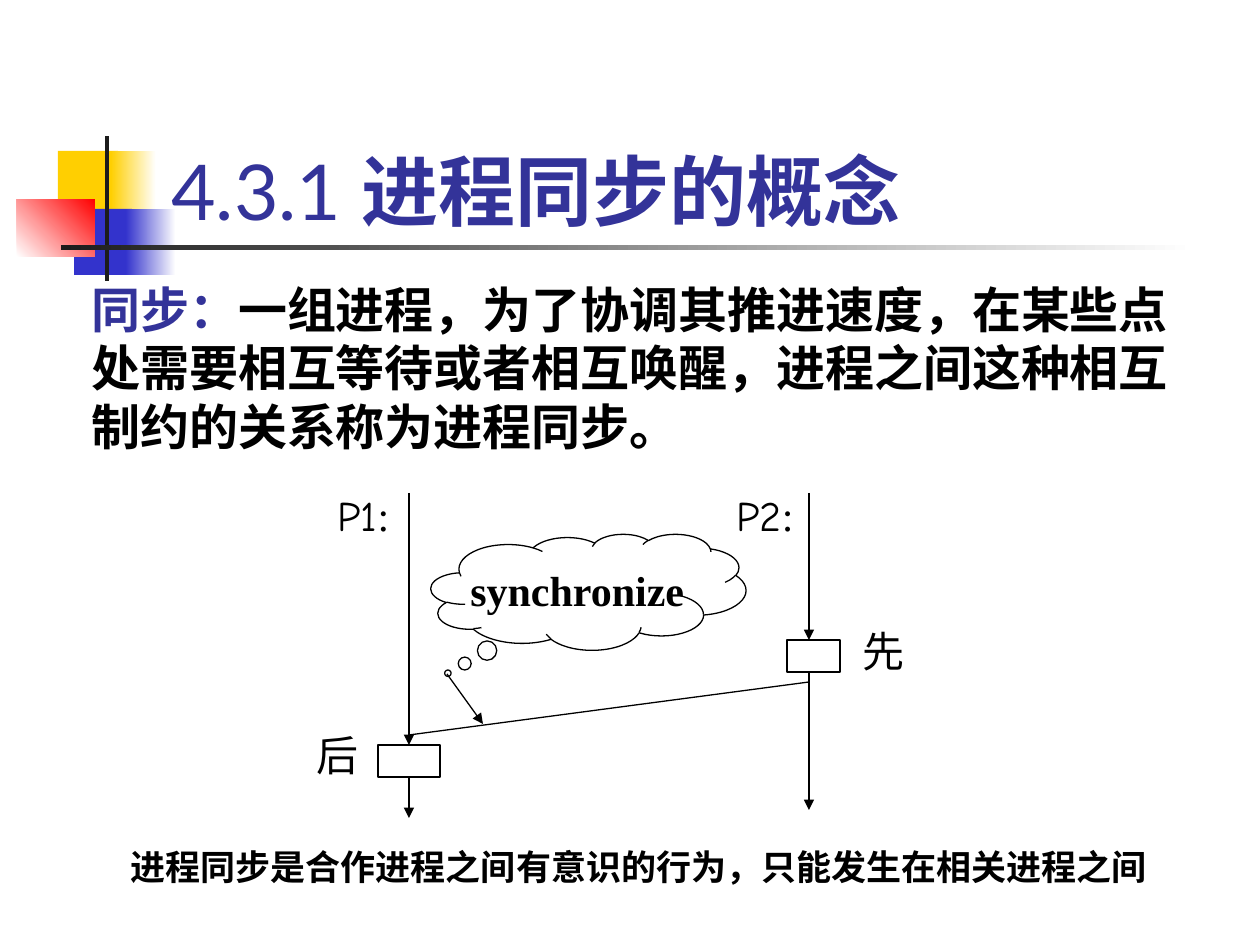
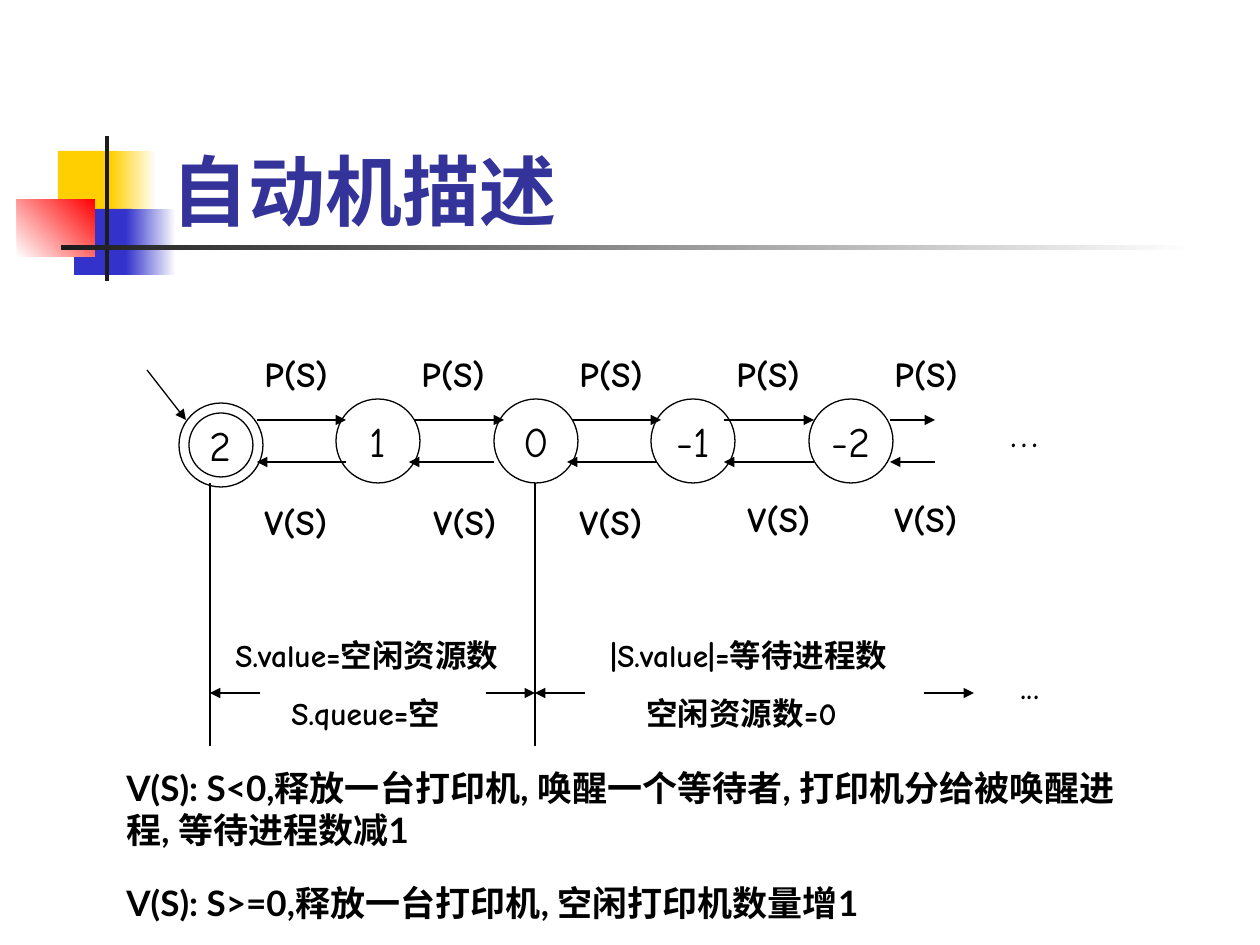
import typing

import lxml.etree
import pptx
import pptx.dml.color
import pptx.enum.shapes
import pptx.enum.text
import pptx.oxml.ns
import pptx.util

EMU_PER_PX = 914400 / 126
SHAPES = pptx.enum.shapes.MSO_SHAPE
ANCHOR = pptx.enum.text.MSO_ANCHOR
ALIGN = pptx.enum.text.PP_ALIGN

WHITE, BLACK, CHARCOAL = "FFFFFF", "000000", "1C1C1C"
YELLOW, BLUE, RED, NAVY = "FFCF01", "3333CC", "FF0000", "333399"
LATO, COMIC, TIMES = "Lato", "Comic Neue", "Times New Roman"


class Box(typing.NamedTuple):
    left: int
    top: int
    width: int
    height: int


class Run(typing.NamedTuple):
    text: str
    size: int
    font: str
    bold: bool = False
    color: str = BLACK


class Paragraph(typing.NamedTuple):
    runs: list[Run]
    space_before: float = 0
    indent: int = 0


class Band(typing.NamedTuple):
    box: Box
    start: str
    end: str | None = None
    angle: int = 0


class Label(typing.NamedTuple):
    box: Box
    paragraphs: list[Paragraph]
    wrap: bool = True


class Arrow(typing.NamedTuple):
    start: tuple[int, int]
    end: tuple[int, int]
    head: bool = True


class Step(typing.NamedTuple):
    """Horizontal extents of the P and V arrows right of a state, and the V label's corner."""
    p_from: int
    p_to: int
    v_from: int
    v_to: int
    v_label: tuple[int, int]


BANDS = [
    Band(Box(58, 151, 60, 66), YELLOW),
    Band(Box(111, 151, 45, 66), YELLOW, WHITE),
    Band(Box(74, 209, 58, 66), BLUE),
    Band(Box(126, 209, 50, 66), BLUE, WHITE),
    Band(Box(17, 199, 78, 58), WHITE, RED, 45),
    Band(Box(105, 136, 4, 145), CHARCOAL),
    Band(Box(61, 245, 1134, 5), CHARCOAL, WHITE),
]
TITLE_BOX = Box(159, 84, 1074, 158)

STATES = ["2", "1", "0", "-1", "-2"]
STEPS = [
    Step(257, 346, 346, 257, (252, 494)),
    Step(414, 504, 494, 409, (421, 494)),
    Step(572, 661, 656, 567, (567, 494)),
    Step(724, 814, 814, 724, (735, 491)),
    Step(890, 935, 935, 890, (882, 491)),
]


def px(length: float) -> int:
    return round(length * EMU_PER_PX)


def rgb(color: str) -> pptx.dml.color.RGBColor:
    return pptx.dml.color.RGBColor.from_string(color)


def write(shape, paragraphs: list[Paragraph], wrap: bool = True,
          anchor=ANCHOR.TOP, align=ALIGN.LEFT) -> None:
    frame = shape.text_frame
    frame.word_wrap = wrap
    frame.vertical_anchor = anchor
    for index, content in enumerate(paragraphs):
        paragraph = frame.add_paragraph() if index else frame.paragraphs[0]
        paragraph.text = content.runs[0].text
        for extra in content.runs[1:]:
            paragraph.add_run().text = extra.text
        paragraph.alignment = align
        if content.space_before:
            paragraph.space_before = pptx.util.Pt(content.space_before)
        if content.indent:
            paragraph._p.get_or_add_pPr().set("marL", str(px(content.indent)))
        for run, style in zip(paragraph.runs, content.runs):
            run.font.size = pptx.util.Pt(style.size)
            run.font.name = style.font
            run.font.bold = style.bold
            run.font.color.rgb = rgb(style.color)


def add_label(slide, label: Label, anchor=ANCHOR.TOP) -> None:
    shape = slide.shapes.add_textbox(*map(px, label.box))
    write(shape, label.paragraphs, label.wrap, anchor)


def add_outlined(slide, kind, box: Box, fill: str | None = None):
    shape = slide.shapes.add_shape(kind, *map(px, box))
    shape.shadow.inherit = False
    if fill:
        shape.fill.solid()
        shape.fill.fore_color.rgb = rgb(fill)
    else:
        shape.fill.background()
    shape.line.color.rgb = rgb(BLACK)
    shape.line.width = pptx.util.Pt(0.75)
    return shape


def add_band(slide, band: Band) -> None:
    shape = add_outlined(slide, SHAPES.RECTANGLE, band.box, band.start)
    shape.line.fill.background()
    if band.end:
        shape.fill.gradient()
        shape.fill.gradient_angle = band.angle
        for stop, color in zip(shape.fill.gradient_stops, (band.start, band.end)):
            stop.color.rgb = rgb(color)


def add_arrow(slide, arrow: Arrow):
    connector = slide.shapes.add_connector(
        pptx.enum.shapes.MSO_CONNECTOR.STRAIGHT,
        *map(px, (*arrow.start, *arrow.end)))
    connector.line.color.rgb = rgb(BLACK)
    connector.line.width = pptx.util.Pt(0.75)
    qn = pptx.oxml.ns.qn
    if arrow.head:
        line = connector.line._get_or_add_ln()
        lxml.etree.SubElement(line, qn("a:tailEnd"), type="triangle")
    lxml.etree.SubElement(connector._element.spPr, qn("a:effectLst"))
    return connector


def add_titled_slide(presentation, title: list[Run]):
    slide = presentation.slides.add_slide(presentation.slide_layouts[6])
    for band in BANDS:
        add_band(slide, band)
    add_label(slide, Label(TITLE_BOX, [Paragraph(title)]), ANCHOR.BOTTOM)
    return slide


def build_synchronization(presentation) -> None:
    slide = add_titled_slide(presentation, [
        Run("4.3.1 ", 44, LATO, color=NAVY),
        Run("进程同步的概念", 44, LATO, True, NAVY),
    ])
    definition = [
        Run("同步：", 28, TIMES, True, NAVY),
        Run("一组进程，为了协调其推进速度，在某些点处需要相互等待或者相互唤醒，"
            "进程之间这种相互制约的关系称为进程同步。", 28, TIMES, True),
    ]
    conclusion = Run("进程同步是合作进程之间有意识的行为，只能发生在相关进程之间",
                     20, LATO, True)
    labels = [
        Label(Box(79, 273, 1135, 189), [Paragraph(definition)]),
        Label(Box(118, 839, 1042, 55), [Paragraph([conclusion])], wrap=False),
    ]
    for left, width, name in [(325, 84, "P1"), (724, 95, "P2")]:
        runs = [Run(name, 24, COMIC), Run(":", 24, TIMES)]
        labels.append(Label(Box(left, 483, width, 63), [Paragraph(runs)]))
    for left, top, order in [(304, 723, "后"), (850, 619, "先")]:
        labels.append(Label(Box(left, top, 74, 63),
                            [Paragraph([Run(order, 24, TIMES)])]))
    for label in labels:
        add_label(slide, label)

    for arrow in [
        Arrow((809, 493), (809, 640)),
        Arrow((809, 672), (809, 810)),
        Arrow((409, 755), (409, 818)),
        Arrow((409, 735), (809, 682), head=False),
        Arrow((447, 674), (483, 724)),
    ]:
        add_arrow(slide, arrow)

    cloud = add_outlined(slide, SHAPES.CLOUD_CALLOUT, Box(431, 534, 315, 116))
    cloud.adjustments[0] = -0.446
    cloud.adjustments[1] = 0.701
    write(cloud, [Paragraph([Run("synchronize", 24, TIMES, True)])],
          False, ANCHOR.MIDDLE, ALIGN.CENTER)

    add_outlined(slide, SHAPES.RECTANGLE, Box(787, 640, 53, 32), WHITE)
    later_step = add_outlined(slide, SHAPES.RECTANGLE, Box(378, 745, 62, 32), WHITE)
    timeline = add_arrow(slide, Arrow((409, 493), (409, 745)))
    timeline.end_connect(later_step, 0)


def build_automaton(presentation) -> None:
    slide = add_titled_slide(presentation, [Run("自动机描述", 44, LATO, True, NAVY)])

    for index, (state, step) in enumerate(zip(STATES, STEPS)):
        offset = 315 * index // 2
        top = 399 if index else 403
        circle = add_outlined(slide, SHAPES.OVAL, Box(179 + offset, top, 84, 84))
        write(circle, [Paragraph([Run(state, 24, COMIC)])],
              False, ANCHOR.MIDDLE, ALIGN.CENTER)
        add_arrow(slide, Arrow((step.p_from, 420), (step.p_to, 420)))
        add_arrow(slide, Arrow((step.v_from, 462), (step.v_to, 462)))
        for corner, name in [((252 + offset, 346), "P(S)"), (step.v_label, "V(S)")]:
            add_label(slide, Label(Box(*corner, 105, 55),
                                   [Paragraph([Run(name, 20, COMIC, True)])]))
    add_outlined(slide, SHAPES.OVAL, Box(189, 413, 64, 64))

    for arrow in [
        Arrow((147, 370), (186, 420)),
        Arrow((210, 483), (210, 746), head=False),
        Arrow((535, 483), (535, 746), head=False),
        Arrow((486, 693), (535, 693)),
        Arrow((260, 693), (210, 693)),
        Arrow((585, 693), (535, 693)),
        Arrow((924, 693), (974, 693)),
    ]:
        add_arrow(slide, arrow)

    for box, upper, lower, indent in [
        (Box(223, 630, 318, 108), "S.value=空闲资源数", "S.queue=空", 56),
        (Box(598, 630, 349, 108), "|S.value|=等待进程数", "空闲资源数=0", 36),
    ]:
        add_label(slide, Label(box, [
            Paragraph([Run(upper, 18, COMIC, True)]),
            Paragraph([Run(lower, 18, COMIC, True)], 11.2, indent),
        ]))
    for box, dots in [(Box(998, 399, 63, 63), "…"), (Box(1008, 651, 84, 63), "...")]:
        add_label(slide, Label(box, [Paragraph([Run(dots, 24, COMIC)])]))

    waiting = "V(S): S<0,释放一台打印机, 唤醒一个等待者, 打印机分给被唤醒进程, 等待进程数减1"
    idle = "V(S): S>=0,释放一台打印机, 空闲打印机数量增1"
    add_label(slide, Label(Box(114, 760, 1042, 174), [
        Paragraph([Run(waiting, 20, LATO, True)]),
        Paragraph([Run(idle, 20, LATO, True)], 18),
    ]))


def main() -> None:
    presentation = pptx.Presentation()
    presentation.slide_width = px(1260)
    presentation.slide_height = px(945)
    build_synchronization(presentation)
    build_automaton(presentation)
    presentation.save("out.pptx")


if __name__ == "__main__":
    main()
